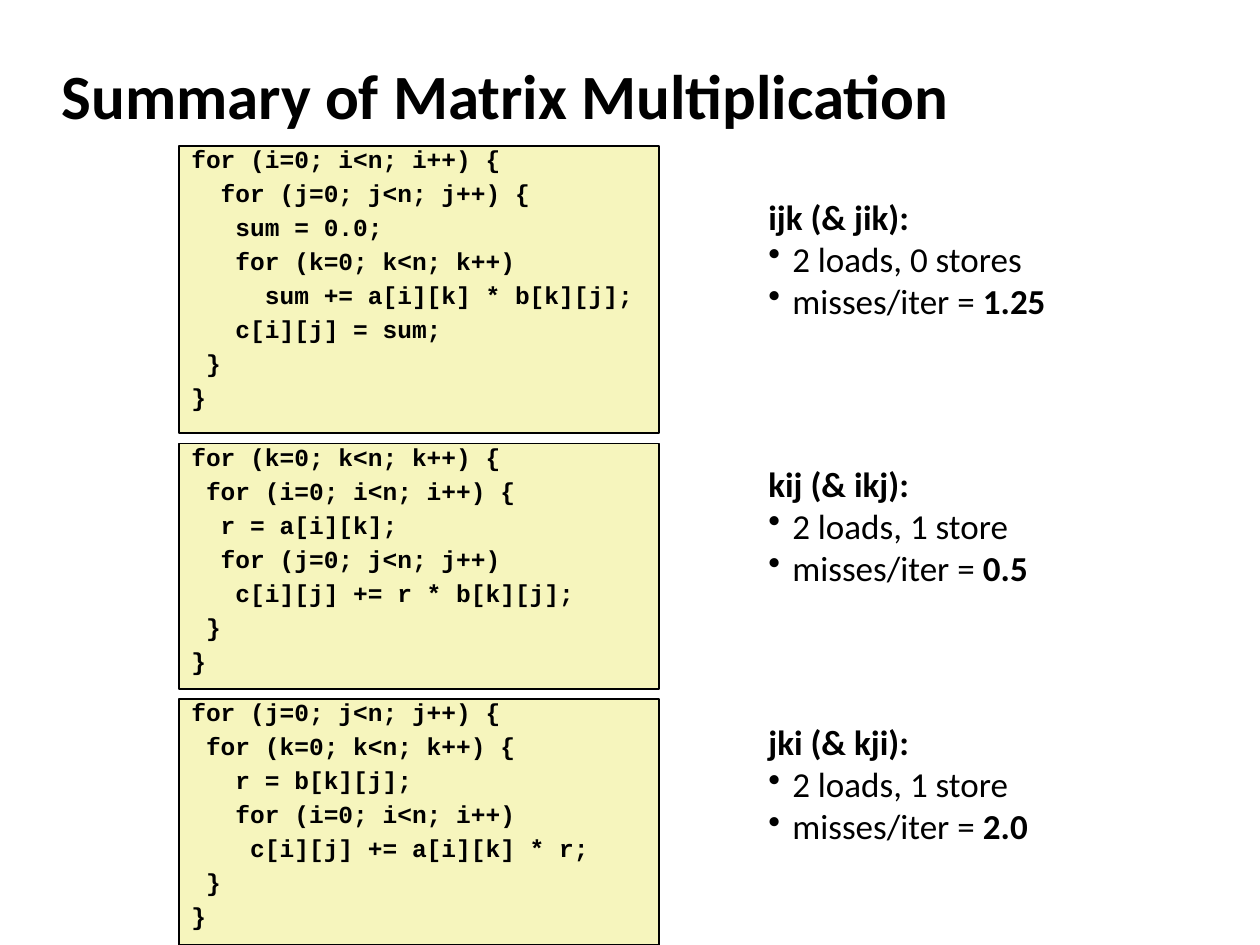
from lxml import etree
from pptx import Presentation
from pptx import util as u
from pptx.dml.color import RGBColor
from pptx.enum import shapes, text
from pptx.oxml.ns import qn

COLORS = {"text": "000000", "code_fill": "F6F5BD", "border": "000000"}
BODY_FONT = "Calibri"
CODE_FONT = "Courier New"
CODE_LEFT, CODE_WIDTH = 1.42, 3.81
NOTES_LEFT, NOTES_HEIGHT = 6, 1.11

# Each variant: code top and height, notes top and width, and the wording.
VARIANTS = [
    {
        "code_box": (1.16, 2.28), "notes_box": (1.5, 2.54),
        "name": "ijk (& jik):", "memory": "2 loads, 0 stores", "misses": "1.25",
        "code": """\
for (i=0; i<n; i++) {
  for (j=0; j<n; j++) {
   sum = 0.0;
   for (k=0; k<n; k++)
     sum += a[i][k] * b[k][j];
   c[i][j] = sum;
 }
}""",
    },
    {
        "code_box": (3.52, 1.95), "notes_box": (3.62, 2.4),
        "name": "kij (& ikj):", "memory": "2 loads, 1 store", "misses": "0.5",
        "code": """\
for (k=0; k<n; k++) {
 for (i=0; i<n; i++) {
  r = a[i][k];
  for (j=0; j<n; j++)
   c[i][j] += r * b[k][j];
 }
}""",
    },
    {
        "code_box": (5.55, 1.95), "notes_box": (5.67, 2.43),
        "name": "jki (& kji):", "memory": "2 loads, 1 store", "misses": "2.0",
        "code": """\
for (j=0; j<n; j++) {
 for (k=0; k<n; k++) {
   r = b[k][j];
   for (i=0; i<n; i++)
    c[i][j] += a[i][k] * r;
 }
}""",
    },
]


def rgb(name):
    return RGBColor.from_string(COLORS[name])


def add_run(paragraph, wording, size, font=BODY_FONT, bold=True):
    run = paragraph.add_run()
    run.text = wording
    run.font.name = font
    run.font.size = u.Pt(size)
    run.font.bold = bold
    run.font.color.rgb = rgb("text")


def next_paragraph(frame, index):
    """Use the paragraph a new frame already has, then add further ones."""
    paragraph = frame.add_paragraph() if index else frame.paragraphs[0]
    paragraph.alignment = text.PP_ALIGN.LEFT
    return paragraph


def add_bullet(paragraph, indent=0.19):
    properties = paragraph._p.get_or_add_pPr()
    properties.set("marL", str(u.Inches(indent)))
    properties.set("indent", str(-u.Inches(indent)))
    etree.SubElement(properties, qn("a:buChar")).set("char", "•")


def add_text_box(slide, left, top, width, height):
    box = slide.shapes.add_textbox(*map(u.Inches, (left, top, width, height)))
    return box.text_frame


def add_title(slide, wording):
    frame = add_text_box(slide, 0.39, 0.33, 8.3, 0.83)
    frame.word_wrap = True
    frame.vertical_anchor = text.MSO_ANCHOR.MIDDLE
    add_run(next_paragraph(frame, 0), wording, 36)


def add_code(slide, code, top, height):
    shape = slide.shapes.add_shape(
        shapes.MSO_SHAPE.RECTANGLE,
        *map(u.Inches, (CODE_LEFT, top, CODE_WIDTH, height)))
    shape.shadow.inherit = False
    shape.fill.solid()
    shape.fill.fore_color.rgb = rgb("code_fill")
    shape.line.color.rgb = rgb("border")
    shape.line.width = u.Pt(1)
    frame = shape.text_frame
    frame.word_wrap = True
    frame.vertical_anchor = text.MSO_ANCHOR.TOP
    for index, line in enumerate(code.splitlines()):
        paragraph = next_paragraph(frame, index)
        paragraph.line_spacing = 0.7
        paragraph.space_before = u.Pt(7.65)
        add_run(paragraph, line, 14, CODE_FONT)


def add_notes(slide, variant):
    top, width = variant["notes_box"]
    frame = add_text_box(slide, NOTES_LEFT, top, width, NOTES_HEIGHT)
    frame.word_wrap = False
    lines = [
        [(variant["name"], True)],
        [(variant["memory"], False)],
        [("misses/iter = ", False), (variant["misses"], True)],
    ]
    for index, runs in enumerate(lines):
        paragraph = next_paragraph(frame, index)
        if index:
            add_bullet(paragraph)
        for wording, bold in runs:
            add_run(paragraph, wording, 20, bold=bold)


def main():
    presentation = Presentation()
    presentation.slide_width = u.Inches(10)
    presentation.slide_height = u.Inches(7.5)
    slide = presentation.slides.add_slide(presentation.slide_layouts[6])
    add_title(slide, "Summary of Matrix Multiplication")
    for variant in VARIANTS:
        add_notes(slide, variant)
        add_code(slide, variant["code"], *variant["code_box"])
    presentation.save("out.pptx")


if __name__ == "__main__":
    main()
